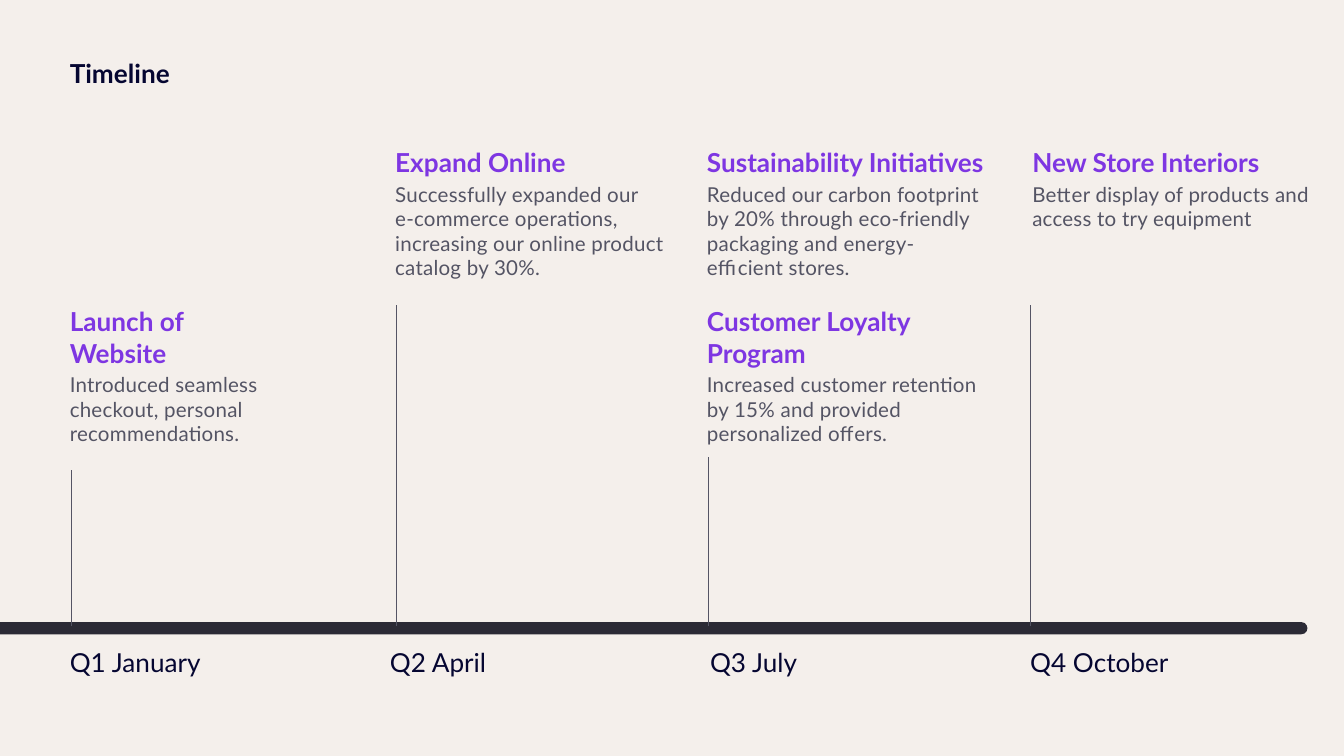
import pptx
import pptx.util
import pptx.dml.color
import pptx.enum.shapes
import pptx.oxml
import pptx.oxml.ns

Cm = pptx.util.Cm
Pt = pptx.util.Pt

NAVY, PURPLE, GREY, DARK, CREAM = "050631", "7E36E2", "545464", "2B2A35", "F4EFEB"
MARGIN = 1.32
COLUMN_WIDTH = 5.28
QUARTER_STEP = 6.05
TITLE_LINE = 0.6
BODY_LINE = 0.46
AXIS_JOIN = 11.84
UPPER, LOWER = 2.77, 5.77

QUARTERS = ["Q1 January", "Q2 April", "Q3 July", "Q4 October"]
MILESTONES = [
    (1.32, LOWER, 2, ["Launch of", "Website"], 3,
     ["Introduced seamless checkout, personal recommendations."]),
    (7.47, UPPER, 1, ["Expand Online"], 4,
     ["Successfully expanded our",
      "e-commerce operations, increasing our online product catalog by 30%."]),
    (13.36, UPPER, 1, ["Sustainability Initiatives"], 4,
     ["Reduced our carbon footprint by 20% through eco-friendly packaging "
      "and energy-efficient stores."]),
    (13.36, LOWER, 2, ["Customer Loyalty Program"], 3,
     ["Increased customer retention by 15% and provided personalized offers."]),
    (19.51, UPPER, 1, ["New Store Interiors"], 4,
     ["Better display of products and access to try equipment"]),
]
STEMS = [(1.35, 8.89), (7.49, 5.77), (13.39, 8.64), (19.48, 5.77)]


def paint(target, color):
    target.solid()
    target.fore_color.rgb = pptx.dml.color.RGBColor.from_string(color)


def add_text(page, left, top, width, height, lines, size, color, leading,
             bold=False, tracking=None):
    box = page.shapes.add_textbox(Cm(left), Cm(top), Cm(width), Cm(height))
    frame = box.text_frame
    frame.word_wrap = True
    frame.margin_left = frame.margin_right = 0
    frame.margin_top = frame.margin_bottom = 0
    for index, line in enumerate(lines):
        para = frame.paragraphs[0] if index == 0 else frame.add_paragraph()
        para.line_spacing = Pt(leading)
        span = para.add_run()
        span.text = line
        span.font.name = "Lato"
        span.font.size = Pt(size)
        span.font.bold = bold
        paint(span.font.fill, color)
        if tracking:
            span.font._element.set("spc", str(tracking))


def add_heading(page, left, top, width):
    add_text(page, left, top, width, 0.36, ["Timeline"], 14, NAVY, 10.1, bold=True)


def add_axis(page, left, top, width, height):
    bar = page.shapes.add_shape(
        pptx.enum.shapes.MSO_SHAPE.ROUNDED_RECTANGLE,
        Cm(left), Cm(top), Cm(width), Cm(height))
    bar.adjustments[0] = 0.5
    bar.shadow.inherit = False
    paint(bar.fill, DARK)
    bar.line.fill.background()


def add_quarters(page, left, top):
    for index, quarter in enumerate(QUARTERS):
        add_text(page, left + index * QUARTER_STEP, top, COLUMN_WIDTH, 0.36,
                 [quarter], 14, NAVY, 10.1)


def add_milestone(page, left, top, width, title_rows, title, body_rows, body):
    title_height = title_rows * TITLE_LINE
    add_text(page, left, top, width, title_height, title, 14, PURPLE, 16.9, bold=True)
    add_text(page, left, top + title_height + 0.07, width, body_rows * BODY_LINE,
             body, 11, GREY, 13.1, tracking=10)


def add_stem(page, x, top, bottom):
    stem = page.shapes.add_connector(
        pptx.enum.shapes.MSO_CONNECTOR.STRAIGHT, Cm(x), Cm(bottom), Cm(x), Cm(top))
    paint(stem.line.fill, GREY)
    stem.line.width = Pt(0.42)
    properties = stem._element.find(pptx.oxml.ns.qn("p:spPr"))
    properties.append(pptx.oxml.parse_xml(
        "<a:effectLst %s/>" % pptx.oxml.ns.nsdecls("a")))


def build_timeline(deck):
    page = deck.slides.add_slide(deck.slide_layouts[6])
    paint(page.background.fill, CREAM)
    add_heading(page, MARGIN, 1.32, 2.64)
    add_axis(page, -0.84, 11.76, 25.55, 0.23)
    add_quarters(page, MARGIN, 12.45)
    for left, top, title_rows, title, body_rows, body in MILESTONES:
        add_milestone(page, left, top, COLUMN_WIDTH, title_rows, title, body_rows, body)
    for x, top in STEMS:
        add_stem(page, x, top, AXIS_JOIN)


def main():
    deck = pptx.Presentation()
    deck.slide_width = Cm(25.4)
    deck.slide_height = Cm(14.29)
    build_timeline(deck)
    deck.save("out.pptx")


if __name__ == "__main__":
    main()
